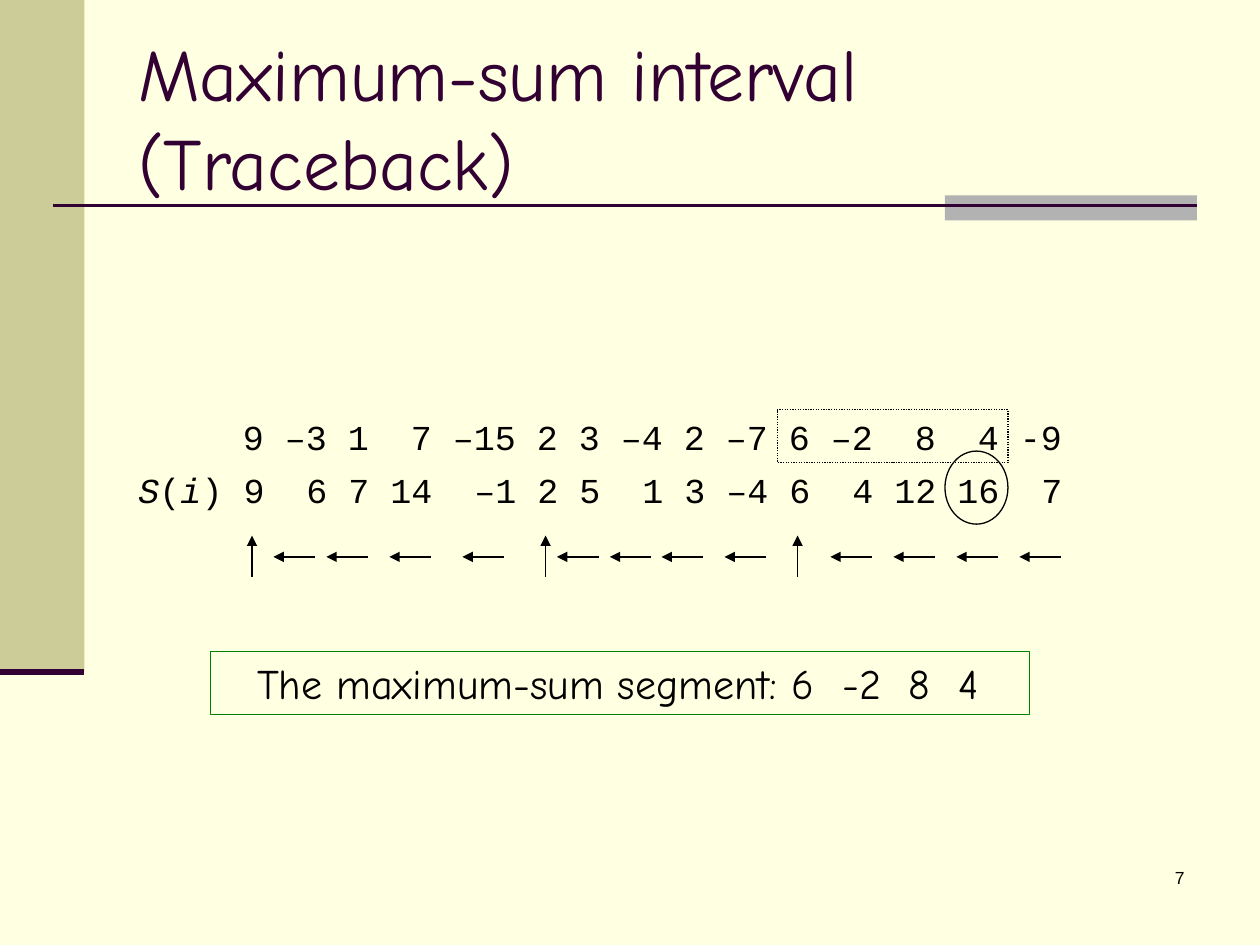
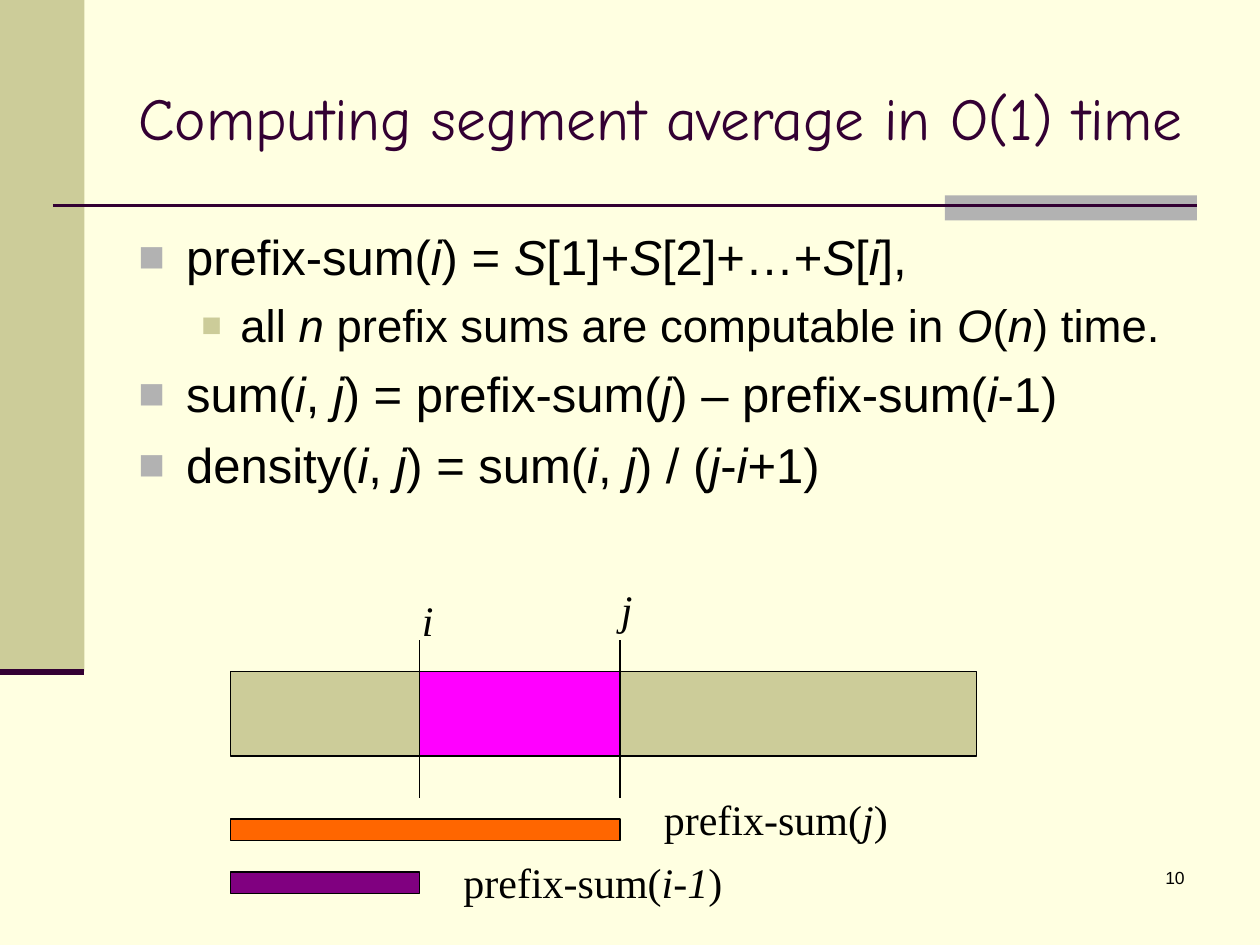
from dataclasses import dataclass
from itertools import accumulate

from lxml.etree import SubElement as Sub
from pptx import Presentation as Deck
from pptx.dml.color import RGBColor as Rgb
from pptx.enum.dml import MSO_LINE as Dash
from pptx.enum.shapes import MSO_CONNECTOR as Link, MSO_SHAPE as Form
from pptx.enum.text import MSO_ANCHOR as Anchor, PP_ALIGN as Align
from pptx.oxml.ns import qn
from pptx.util import Inches, Pt


@dataclass(frozen=True)
class Theme:
    paper: str = "FFFFE1"
    olive: str = "CCCC99"
    gray: str = "B2B2B2"
    plum: str = "330033"
    ink: str = "000000"
    green: str = "008000"
    pink: str = "FF00FF"
    orange: str = "FF6600"
    purple: str = "800080"
    hand: str = "Comic Neue"
    sans: str = "Arial"
    mono: str = "Courier New"
    serif: str = "Times New Roman"
    title: int = 42
    long: int = 34
    point: int = 28
    minor: int = 26
    label: int = 24
    code: int = 20
    foot: int = 10
    thin: float = 0.75


T = Theme()
CHAR = T.code * 0.6 / 72
VALUES = "9 –3 1 7 –15 2 3 –4 2 –7 6 –2 8 4 -9".split()
SUMS = "9 6 7 14 –1 2 5 1 3 –4 6 4 12 16 7".split()
STARTS = [2, 2.5, 2.92, 3.42, 4, 4.33, 4.75, 5.17,
          5.58, 6.08, 6.33, 6.92, 7.42, 7.92, 8.42]
LEVELS = {
    0: dict(size=T.point, color=T.gray, scale=90, left=0.38, hang=0.38, gap=7),
    1: dict(size=T.minor, color=T.olive, scale=75, left=0.81, hang=0.31, gap=6.5),
}
POINTS = [
    (0, "prefix-sum(*i*) = *S*[1]+*S*[2]+…+*S*[*i*],"),
    (1, "all *n* prefix sums are computable in *O*(*n*) time."),
    (0, "sum(*i*, *j*) = prefix-sum(*j*) – prefix-sum(*i*-1)"),
    (0, "density(*i*, *j*) = sum(*i*, *j*) / (*j*-*i*+1)"),
]


def apply(item, values):
    for name, value in values.items():
        setattr(item, name, value)


def write(para, text, size, face, color=T.ink):
    for row, line in enumerate(text.split("\v")):
        if row:
            para.add_line_break()
        for part, words in enumerate(line.split("*")):
            if words:
                run = para.add_run()
                run.text = words
                apply(run.font, dict(size=Pt(size), name=face, italic=part % 2 == 1))
                run.font.color.rgb = Rgb.from_string(color)


def set_tabs(para, stops, align):
    tabs = Sub(para._p.get_or_add_pPr(), qn("a:tabLst"))
    for stop in stops:
        Sub(tabs, qn("a:tab"), pos=str(Inches(stop)), algn=align)


def bullet(para, level):
    look = LEVELS[level]
    apply(para, dict(level=level))
    props = para._p.get_or_add_pPr()
    props.set("marL", str(Inches(look["left"])))
    props.set("indent", str(-Inches(look["hang"])))
    tint = Sub(props, qn("a:buClr"))
    Sub(tint, qn("a:srgbClr"), val=look["color"])
    Sub(props, qn("a:buSzPct"), val=str(look["scale"] * 1000))
    Sub(props, qn("a:buFont"), typeface=T.sans)
    Sub(props, qn("a:buChar"), char="■")


def text_box(slide, box, text, size, face, color=T.ink, **form):
    frame = slide.shapes.add_textbox(*map(Inches, box)).text_frame
    apply(frame, dict(word_wrap=True, **form))
    para = frame.paragraphs[0]
    write(para, text, size, face, color)
    return para


def block(slide, box, fill=None, edge=None, form=Form.RECTANGLE, dash=None):
    shape = slide.shapes.add_shape(form, *map(Inches, box))
    shape.shadow.inherit = False
    if fill:
        shape.fill.solid()
        shape.fill.fore_color.rgb = Rgb.from_string(fill)
    else:
        shape.fill.background()
    if edge:
        shape.line.color.rgb = Rgb.from_string(edge)
        apply(shape.line, dict(width=Pt(T.thin), dash_style=dash))
    else:
        shape.line.fill.background()
    return shape


def line(slide, ends, color=T.ink, width=T.thin, arrow=False):
    link = slide.shapes.add_connector(Link.STRAIGHT, *map(Inches, ends))
    link.line.color.rgb = Rgb.from_string(color)
    link.line.width = Pt(width)
    if arrow:
        Sub(link.line._get_or_add_ln(), qn("a:tailEnd"), type="triangle")
    Sub(link._element.spPr, qn("a:effectLst"))


def new_slide(deck, title, size, number):
    slide = deck.slides.add_slide(deck.slide_layouts[6])
    block(slide, (0, 0, 0.67, 5.33), T.olive)
    block(slide, (7.5, 1.55, 2, 0.2), T.gray)
    line(slide, (0.42, 1.63, 9.5, 1.63), T.plum, 1.5)
    line(slide, (0, 5.33, 0.67, 5.33), T.plum, 3.5)
    text_box(slide, (1, 0.3, 8.5, 1.25), title, size, T.hand, T.plum,
             vertical_anchor=Anchor.MIDDLE)
    foot = text_box(slide, (7.42, 6.83, 2.08, 0.5), str(number), T.foot, T.sans)
    foot.alignment = Align.RIGHT
    return slide


def number_row(slide, box, cells, ends, lead=""):
    para = text_box(slide, box, lead + "\t".join(cells), T.code, T.mono)
    shift = len(lead.replace("*", ""))
    set_tabs(para, [(end + shift) * CHAR for end in ends[1:]], "r")


def trace_slide(deck):
    slide = new_slide(deck, "Maximum-sum interval\v(Traceback)", T.title, 7)
    widths = [max(map(len, pair)) + 1 for pair in zip(VALUES, SUMS)]
    ends = [end - 1 for end in accumulate(widths)]
    number_row(slide, (1.83, 3.25, 6.95, 0.44), VALUES, ends)
    number_row(slide, (1, 3.67, 7.58, 0.44), SUMS, ends, "*S*(*i*) ")
    for x, value, total in zip(STARTS, VALUES, SUMS):
        fresh = value == total
        path_ends = (x, 4.58, x, 4.25) if fresh else (x, 4.42, x - 0.33, 4.42)
        line(slide, path_ends, arrow=True)
    block(slide, (6.17, 3.25, 1.83, 0.42), edge=T.ink, dash=Dash.ROUND_DOT)
    block(slide, (7.5, 3.58, 0.5, 0.58), edge=T.ink, form=Form.OVAL)
    frame = block(slide, (1.67, 5.17, 6.5, 0.5), edge=T.green).text_frame
    apply(frame, dict(word_wrap=True, vertical_anchor=Anchor.MIDDLE,
                      margin_left=Inches(0.37)))
    para = frame.paragraphs[0]
    para.alignment = Align.LEFT
    set_tabs(para, (4.65, 5.17, 5.57), "l")
    write(para, "The maximum-sum segment: 6\t-2\t8\t4", T.label, T.hand)


def mean_slide(deck):
    slide = new_slide(deck, "Computing segment average in O(1) time", T.long, 10)
    frame = slide.shapes.add_textbox(*map(Inches, (1, 1.75, 8.5, 4.95))).text_frame
    frame.word_wrap = True
    for row, (level, text) in enumerate(POINTS):
        para = frame.add_paragraph() if row else frame.paragraphs[0]
        bullet(para, level)
        if row:
            para.space_before = Pt(LEVELS[level]["gap"])
        write(para, text, LEVELS[level]["size"], T.sans)
    left, i, j = 1.83, 3.33, 4.92
    block(slide, (left, 5.33, 5.92, 0.67), T.olive, T.ink)
    for x in (i, j):
        line(slide, (x, 5.08, x, 6.33))
    block(slide, (i, 5.33, j - i, 0.67), T.pink, T.ink)
    for end, top, color in ((j, 6.5, T.orange), (i, 6.92, T.purple)):
        block(slide, (left, top, end - left, 0.17), color, T.ink)
    for box, text in (
        ((5.17, 6.25, 2.08, 0.5), "prefix-sum(*j*)"),
        ((3.25, 4.67, 0.42, 0.5), "*i*"),
        ((4.83, 4.58, 0.33, 0.5), "*j*"),
        ((3.58, 6.75, 2.33, 0.5), "prefix-sum(*i-1*)"),
    ):
        text_box(slide, box, text, T.label, T.serif)


def main():
    deck = Deck()
    apply(deck, dict(slide_width=Inches(10), slide_height=Inches(7.5)))
    paper = deck.slide_master.background.fill
    paper.solid()
    paper.fore_color.rgb = Rgb.from_string(T.paper)
    trace_slide(deck)
    mean_slide(deck)
    deck.save("out.pptx")


if __name__ == "__main__":
    main()
